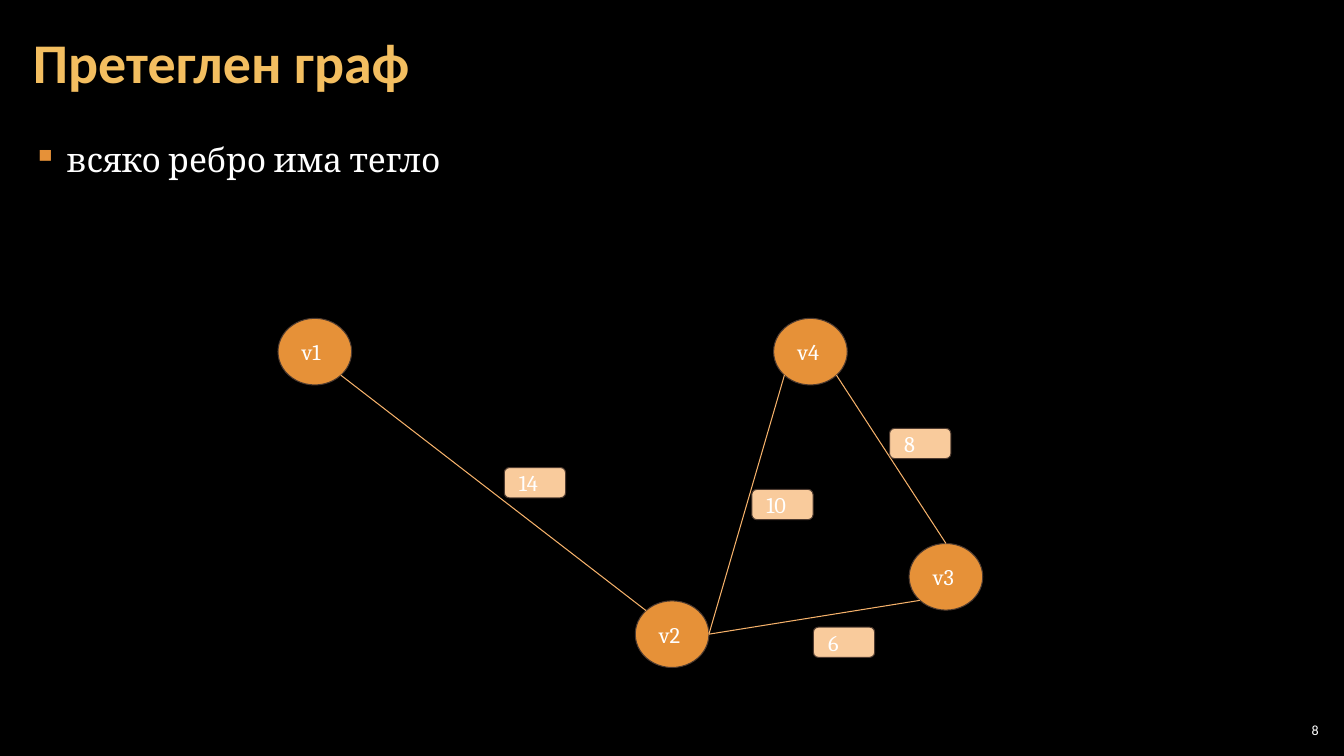
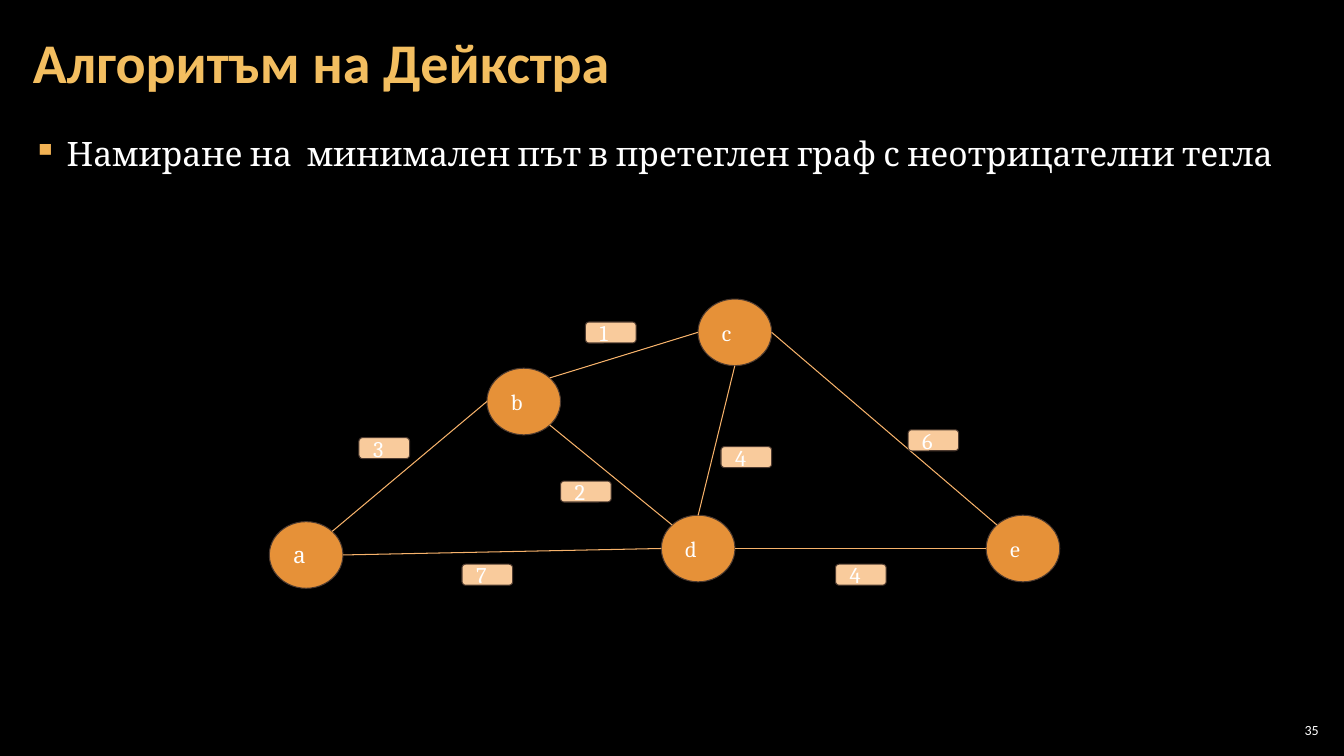
from math import cos, radians, sin

from lxml.etree import SubElement
from pptx import Presentation
from pptx.dml.color import RGBColor
from pptx.enum.shapes import MSO_CONNECTOR as LINK, MSO_SHAPE as FORM
from pptx.enum.text import MSO_ANCHOR as ANCHOR, PP_ALIGN as ALIGN
from pptx.oxml.ns import qn
from pptx.util import Pt

# Palette
BLACK, WHITE, GOLD = "000000", "FFFFFF", "F3BE60"
ORANGE, PEACH, EDGE, RIM = "E69138", "F9CB9C", "F6B26B", "4E3B30"

# Text styles: margins are (left and right, top and bottom)
TITLE = dict(color=GOLD, pad=(8.6, 3),
             frame=dict(vertical_anchor=ANCHOR.MIDDLE),
             para=dict(alignment=ALIGN.LEFT, line_spacing=0.9),
             font=dict(name="Calibri", size=Pt(40), bold=True))
BODY = dict(color=WHITE, pad=(8.6, 3),
            frame=dict(vertical_anchor=ANCHOR.TOP),
            para=dict(alignment=ALIGN.JUSTIFY),
            font=dict(name="Cambria", size=Pt(24)))
MARK = dict(color=WHITE, pad=(9.4, 9.4),
            frame=dict(vertical_anchor=ANCHOR.MIDDLE),
            para=dict(alignment=ALIGN.LEFT),
            font=dict(name="Cambria", size=Pt(16)))
PAGE = dict(color=WHITE, pad=(3, 3),
            frame=dict(vertical_anchor=ANCHOR.MIDDLE),
            para=dict(alignment=ALIGN.RIGHT),
            font=dict(name="Calibri", size=Pt(10)))

NODE_W, NODE_H = 52.6, 47.6

# Nodes and weights: text, left, top
# Edges: node, site, node, site; sites run from the top, counter-clockwise
SLIDES = [
    dict(title="Претеглен граф", body="всяко ребро има тегло",
         page="8", lead=1.2, dot=ORANGE, size=(43.8, 21.6),
         nodes=[("v1", 198.6, 227.4), ("v2", 453.8, 429.2),
                ("v3", 649.4, 388.2), ("v4", 552.6, 227.4)],
         edges=[(0, 5, 1, 1), (1, 6, 2, 3), (2, 0, 3, 5), (1, 6, 3, 3)],
         weights=[("14", 360.2, 334), ("6", 581, 448),
                  ("8", 635.4, 306), ("10", 537, 349.6)]),
    dict(title="Алгоритъм на Дейкстра",
         body="Намиране на  минимален път в претеглен граф "
              "с неотрицателни тегла",
         page="35", lead=1.05, dot="F2B254", size=(36.2, 15),
         nodes=[("а", 192.4, 372.6), ("b", 347.8, 263), ("c", 498.6, 213.6),
                ("d", 472.4, 368), ("e", 704.4, 368)],
         edges=[(0, 7, 1, 2), (1, 5, 3, 1), (0, 6, 3, 2), (1, 7, 2, 2),
                (3, 0, 2, 4), (2, 6, 4, 1), (3, 6, 4, 2)],
         weights=[("3", 256.4, 312.6), ("7", 330, 403), ("2", 400.4, 343.6),
                  ("1", 418.2, 230), ("4", 515, 319), ("4", 596.8, 403),
                  ("6", 648.6, 307)]),
]


def paint(fill, code):
    fill.solid()
    fill.fore_color.rgb = RGBColor.from_string(code)


def write(shape, text, style):
    frame = shape.text_frame
    frame.word_wrap = True
    frame.margin_left = frame.margin_right = Pt(style["pad"][0])
    frame.margin_top = frame.margin_bottom = Pt(style["pad"][1])
    para = frame.paragraphs[0]
    run = para.add_run()
    run.text = text
    parts = (frame, "frame"), (para, "para"), (run.font, "font")
    for part, key in parts:
        for name, value in style[key].items():
            setattr(part, name, value)
    paint(run.font.fill, style["color"])
    return para


# Deck and shared background
deck = Presentation()
deck.slide_width, deck.slide_height = Pt(960), Pt(540)
paint(deck.slide_master.background.fill, BLACK)

for data in SLIDES:
    slide = deck.slides.add_slide(deck.slide_layouts[6])
    shapes = slide.shapes

    # Title, body and page number
    boxes = [("title", TITLE, (15, 3, 930, 87)),
             ("body", BODY, (15, 90.6, 930, 438)),
             ("page", PAGE, (911, 514, 34, 15))]
    paras = {}
    for key, style, spot in boxes:
        box = shapes.add_textbox(*map(Pt, spot))
        paras[key] = write(box, data[key], style)

    # Bullet of the body line
    para = paras["body"]
    para.line_spacing = data["lead"]
    props = para._p.get_or_add_pPr()
    props.set("marL", str(Pt(24)))
    props.set("indent", str(-Pt(24)))
    color = SubElement(props, qn("a:buClr"))
    SubElement(color, qn("a:srgbClr"), val=data["dot"])
    SubElement(props, qn("a:buChar"), char="▪")

    # Nodes, then edges, then weights on top
    nodes = []
    groups = [("nodes", FORM.OVAL, ORANGE, (NODE_W, NODE_H)),
              ("weights", FORM.ROUNDED_RECTANGLE, PEACH, data["size"])]
    for key, form, fill, size in groups:
        for text, left, top in data[key]:
            shape = shapes.add_shape(form, *map(Pt, (left, top, *size)))
            shape.shadow.inherit = False
            paint(shape.fill, fill)
            paint(shape.line.fill, RIM)
            shape.line.width = Pt(0.75)
            write(shape, text, MARK)
            if key == "nodes":
                nodes.append(shape)
        if key == "weights":
            continue

        for start, exit, end, entry in data["edges"]:
            ends = []
            for index, site in ((start, exit), (end, entry)):
                left, top = data["nodes"][index][1:]
                angle = radians(90 + 45 * site)
                ends += [Pt(left + NODE_W / 2 * (1 + cos(angle))),
                         Pt(top + NODE_H / 2 * (1 - sin(angle)))]
            edge = shapes.add_connector(LINK.STRAIGHT, *ends)
            paint(edge.line.fill, EDGE)
            edge.line.width = Pt(0.75)
            SubElement(edge._element.spPr, qn("a:effectLst"))
            # Tie the edge to the sites of its two nodes
            ties = edge._element.nvCxnSpPr.cNvCxnSpPr
            for tag, index, site in (("a:stCxn", start, exit),
                                     ("a:endCxn", end, entry)):
                SubElement(ties, qn(tag), id=str(nodes[index].shape_id),
                           idx=str(site))

deck.save("out.pptx")
